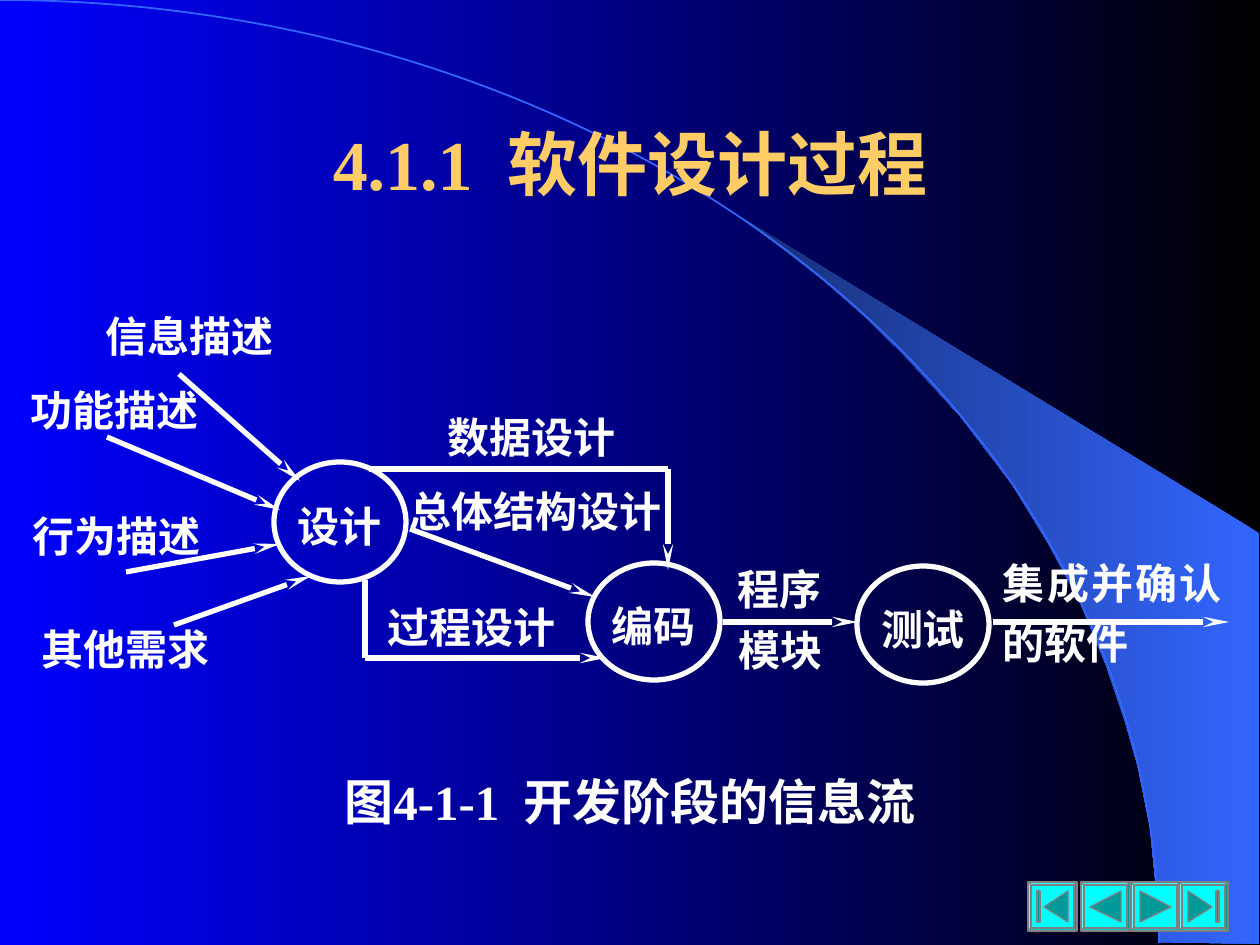
import dataclasses

import pptx
import pptx.dml.color
import pptx.enum.shapes
import pptx.enum.text
import pptx.oxml
import pptx.oxml.ns
import pptx.util

SCALE = 914400 / 126  # EMU per px
SHAPE = pptx.enum.shapes.MSO_SHAPE
ALIGN = pptx.enum.text.PP_ALIGN
ANCHOR = pptx.enum.text.MSO_ANCHOR


@dataclasses.dataclass(frozen=True)
class Theme:
    font: str = "Times New Roman"
    ink: str = "FFFFFF"
    title: str = "FFCC66"
    black: str = "000000"
    blue: str = "0000FF"
    arc: str = "3366FF"
    arc_dark: str = "172F75"
    button: str = "00FFFF"
    icon: str = "009999"
    edge: str = "808080"
    title_size: int = 40
    caption_size: int = 28
    label_size: int = 24
    flow_width: float = 3
    arc_width: float = 1
    edge_width: float = 0.75


THEME = Theme()

SWOOSH = [(1159, 942), (1259, 944), (1259, 533), (742, 218), (786, 251),
          (823, 280), (863, 315), (902, 353), (960, 416), (1012, 484),
          (1048, 543), (1081, 604), (1106, 665), (1125, 721), (1138, 767),
          (1150, 827), (1155, 877)]

# text, (left, top, width, height), extra format values
LABELS = [
    ("信息描述", (103, 312, 173, 47), {}),
    ("功能描述", (25, 386, 179, 48), {}),
    ("行为描述", (25, 512, 184, 47), {}),
    ("其他需求", (25, 627, 202, 43), {}),
    ("数据设计", (445, 417, 174, 40), {}),
    ("总体结构设计", (405, 491, 261, 39), {}),
    ("过程设计", (372, 606, 200, 42), {}),
    ("程序\n模块", (687, 558, 186, 112), {"line_spacing": 1.2}),
    ("集成并确认的软件", (1003, 543, 219, 129),
     {"line_spacing": 1.2, "alignment": ALIGN.JUSTIFY}),
]

STAGES = [
    ("设计", (274, 462, 132, 120)),
    ("编码", (588, 563, 132, 117)),
    ("测试", (857, 566, 132, 117)),
]

# start, end, has an arrowhead
FLOWS = [
    ((179, 374), (300, 481), True),
    ((107, 437), (280, 510), True),
    ((126, 572), (280, 544), True),
    ((174, 625), (311, 576), True),
    ((369, 469), (668, 469), False),
    ((668, 469), (668, 570), True),
    ((410, 529), (595, 597), True),
    ((365, 580), (365, 658), False),
    ((365, 658), (606, 658), True),
    ((723, 622), (858, 622), True),
    ((993, 622), (1229, 622), True),
]

# Button icons: contours inside a square of BUTTON_SIDE
BUTTON_SIDE = 49
BUTTON_TOP = 882
BACK = [[(9, 25), (40, 9), (40, 40)]]
FIRST = [[(16, 25), (40, 9), (40, 40)], [(9, 9), (12, 9), (12, 40), (9, 40)]]


def px(*lengths):
    return [round(length * SCALE) for length in lengths]


def rgb(value):
    return pptx.dml.color.RGBColor.from_string(value)


def apply(target, values):
    for name, value in values.items():
        setattr(target, name, value)


def paint_gradient(fill, colours):
    fill.gradient()
    fill.gradient_angle = 180
    for stop, colour in zip(fill.gradient_stops, colours):
        stop.color.rgb = rgb(colour)


def paint(shape, fill=None, line=None, width=0):
    shape.shadow.inherit = False
    if fill:
        shape.fill.solid()
        shape.fill.fore_color.rgb = rgb(fill)
    else:
        shape.fill.background()
    if line:
        shape.line.color.rgb = rgb(line)
        shape.line.width = pptx.util.Pt(width)
    else:
        shape.line.fill.background()


def write(box, text, size=THEME.label_size, colour=THEME.ink,
          anchor=ANCHOR.MIDDLE, margin_bottom=0, **para_format):
    frame = box.text_frame
    apply(frame, {"word_wrap": True, "vertical_anchor": anchor,
                  "margin_left": 0, "margin_right": 0, "margin_top": 0,
                  "margin_bottom": px(margin_bottom)[0]})
    frame.text = text
    for para in frame.paragraphs:
        apply(para, {"alignment": ALIGN.CENTER, **para_format})
        for span in para.runs:
            style_span(span, size, colour)


def style_span(span, size, colour):
    apply(span.font, {"name": THEME.font, "size": pptx.util.Pt(size), "bold": True})
    span.font.color.rgb = rgb(colour)


def add_heading(page, number, words, place, size, colour, anchor):
    box = page.shapes.add_textbox(*px(*place))
    write(box, number, size, colour, anchor)
    para = box.text_frame.paragraphs[0]
    for text in (" ", words):
        span = para.add_run()
        span.text = text
        style_span(span, size, colour)
    # Widen the single gap by a quarter of the type size
    para.runs[1].font._element.set("spc", str(size * 25))


def add_label(page, text, place, values):
    box = page.shapes.add_textbox(*px(*place))
    write(box, text, **values)
    return box


def add_stage(page, text, place):
    stage = page.shapes.add_shape(SHAPE.OVAL, *px(*place))
    paint(stage, line=THEME.ink, width=THEME.flow_width)
    write(stage, text, margin_bottom=6, line_spacing=1.28)


def add_flow(page, start, end, arrow):
    flow = page.shapes.add_connector(
        pptx.enum.shapes.MSO_CONNECTOR.STRAIGHT, *px(*start, *end))
    flow.line.color.rgb = rgb(THEME.ink)
    flow.line.width = pptx.util.Pt(THEME.flow_width)
    if arrow:
        head = pptx.oxml.parse_xml(
            f'<a:tailEnd {pptx.oxml.ns.nsdecls("a")} type="stealth" w="sm" len="lg"/>')
        flow.line._get_or_add_ln().append(head)
    flow._element.spPr.append(
        pptx.oxml.parse_xml(f'<a:effectLst {pptx.oxml.ns.nsdecls("a")}/>'))


def add_outline(page, contours):
    builder = page.shapes.build_freeform(*contours[0][0], scale=SCALE)
    builder.add_line_segments(contours[0][1:], close=True)
    for contour in contours[1:]:
        builder.move_to(*contour[0])
        builder.add_line_segments(contour[1:], close=True)
    return builder.convert_to_shape()


def add_button(page, left, contours, mirrored):
    button = page.shapes.add_shape(
        SHAPE.BEVEL, *px(left, BUTTON_TOP, BUTTON_SIDE, BUTTON_SIDE))
    button.adjustments[0] = 0.06
    paint(button, THEME.button, THEME.edge, THEME.edge_width)
    icon = add_outline(page, [
        [(left + (BUTTON_SIDE - x if mirrored else x), BUTTON_TOP + y)
         for x, y in contour] for contour in contours])
    paint(icon, THEME.icon, THEME.edge, THEME.edge_width)


def add_backdrop(page):
    paint_gradient(page.background.fill, (THEME.black, THEME.blue))
    swoosh = add_outline(page, [SWOOSH])
    paint(swoosh)
    paint_gradient(swoosh.fill, (THEME.arc, THEME.arc_dark))
    arc = page.shapes.add_shape(SHAPE.ARC, *px(-1159, 0, 2318, 1886))
    paint(arc, line=THEME.arc, width=THEME.arc_width)


def main():
    deck = pptx.Presentation()
    deck.slide_width, deck.slide_height = px(1260, 945)
    page = deck.slides.add_slide(deck.slide_layouts[6])
    add_backdrop(page)

    # Title and caption
    add_heading(page, "4.1.1", "软件设计过程", (94, 84, 1072, 158),
                THEME.title_size, THEME.title, ANCHOR.MIDDLE)
    add_heading(page, "图4-1-1", "开发阶段的信息流", (94, 772, 1072, 88),
                THEME.caption_size, THEME.ink, ANCHOR.TOP)

    # Information flow
    for text, place in STAGES:
        add_stage(page, text, place)
    for start, end, arrow in FLOWS:
        add_flow(page, start, end, arrow)
    for text, place, values in LABELS:
        label = add_label(page, text, place, values)
        if text.startswith("程序"):
            label.rotation = 359.6

    # Navigation buttons
    for left, contours, mirrored in ((1028, FIRST, False), (1081, BACK, False),
                                     (1131, BACK, True), (1179, FIRST, True)):
        add_button(page, left, contours, mirrored)

    deck.save("out.pptx")


if __name__ == "__main__":
    main()
